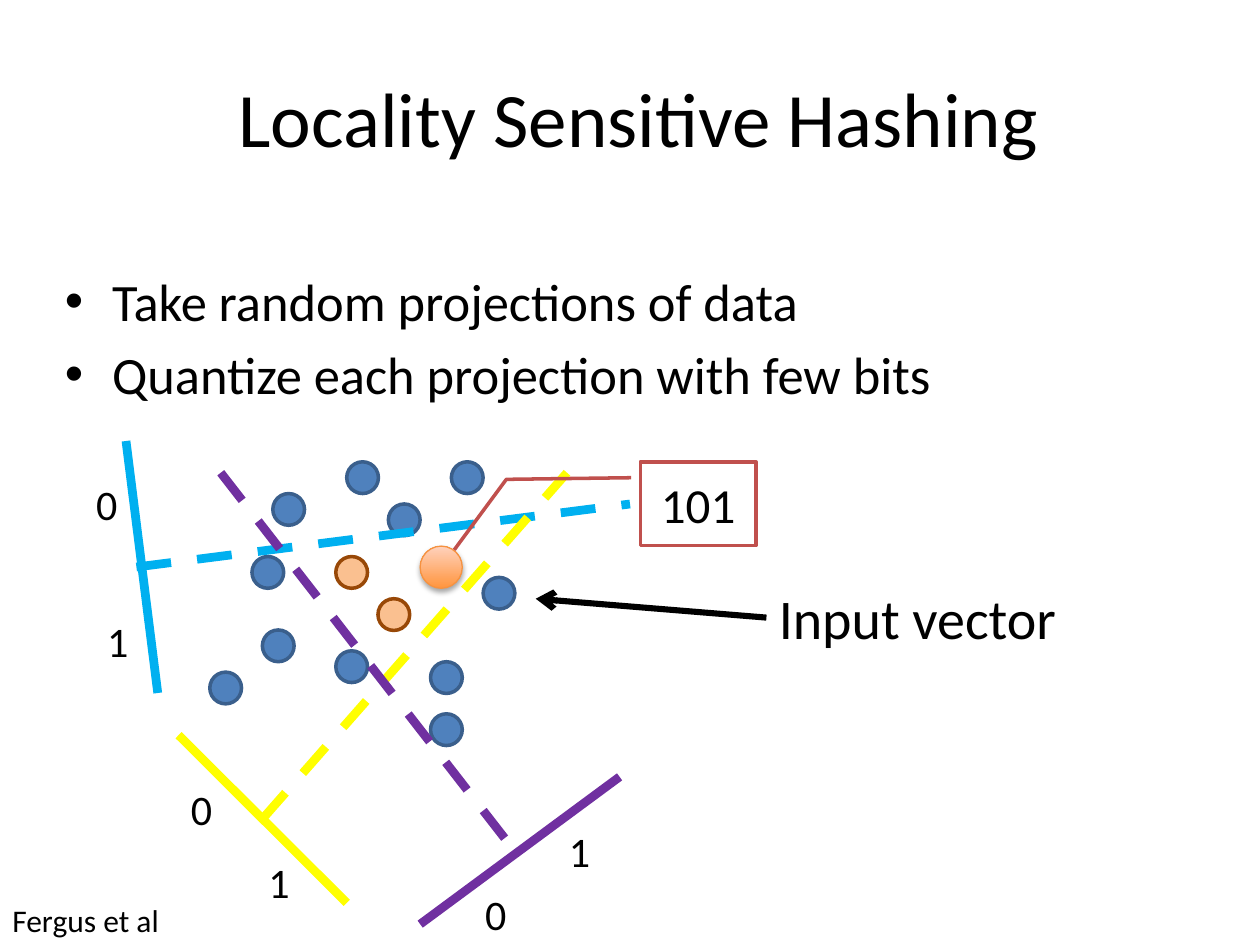
"""Builds a slide that explains locality sensitive hashing with three random projections."""
from dataclasses import dataclass

from lxml import etree
from pptx import Presentation
from pptx.dml.color import RGBColor
from pptx.enum import dml, shapes, text
from pptx.oxml import ns
from pptx.util import Cm, Pt

COLORS = {
    "black": "000000", "white": "FFFFFF",
    "blue": "4F81BD", "blue_edge": "3A5F8C",
    "peach": "FAC090", "brown": "984807",
    "query_low": "FF953E", "query_high": "FFD2BD", "query_edge": "F69240",
    "red": "C0504D", "cyan": "00B0F0", "yellow": "FFFF00", "purple": "7030A0",
}
FONT = "Calibri"
DOT = 0.64
BLUE_DOTS = [
    (5.29, 12.7), (5.5, 9.95), (6.99, 9.31), (5.08, 11.22), (6.77, 13.12), (7.83, 10.16),
    (4.23, 13.55), (9.74, 11.64), (8.68, 14.39), (8.68, 13.34), (9.1, 9.31),
]
NEIGHBOR_DOTS = [(6.77, 11.22), (7.62, 12.07)]


@dataclass
class Projection:
    """A projection axis, the dashed boundary across it and its two bit labels."""
    color: str
    boundary: tuple
    axis: tuple
    zero: tuple
    one: tuple


PROJECTIONS = [
    Projection("cyan", (2.75, 11.43, 12.7, 10.16), (3.18, 13.97, 2.54, 8.89),
               (1.69, 9.53), (1.91, 12.28)),
    Projection("yellow", (5.29, 16.51, 11.43, 9.53), (3.6, 14.82, 6.99, 18.2),
               (3.6, 15.66), (5.16, 17.15)),
    Projection("purple", (4.45, 9.53, 10.37, 17.15), (8.47, 18.63, 12.49, 15.66),
               (9.53, 17.78), (11.22, 16.51)),
]


def rgb(name: str) -> RGBColor:
    """Look up a named colour."""
    return RGBColor.from_string(COLORS[name])


def style(tf, size: float) -> None:
    """Format every run of a text frame."""
    for p in tf.paragraphs:
        for r in p.runs:
            r.font.name, r.font.size = FONT, Pt(size)
            r.font.color.rgb = rgb("black")


def add_text(parent, box: tuple, content: str, size: float, wrap: bool = False):
    """Add a text box at a (left, top, width, height) box."""
    sp = parent.add_textbox(*map(Cm, box))
    tf = sp.text_frame
    tf.text = content
    tf.word_wrap = wrap
    style(tf, size)
    return sp


def add_shape(parent, kind, box: tuple, fill: str, edge: str, width: float = 2):
    """Add a filled and outlined preset shape."""
    sp = parent.add_shape(kind, *map(Cm, box))
    sp.shadow.inherit = False
    sp.fill.solid()
    sp.fill.fore_color.rgb = rgb(fill)
    sp.line.color.rgb = rgb(edge)
    sp.line.width = Pt(width)
    return sp


def add_line(parent, ends: tuple, color: str, width: float = 5, dashed: bool = False):
    """Add a straight connector between (x1, y1, x2, y2) ends."""
    cx = parent.add_connector(shapes.MSO_CONNECTOR.STRAIGHT, *map(Cm, ends))
    cx.line.color.rgb = rgb(color)
    cx.line.width = Pt(width)
    if dashed:
        cx.line.dash_style = dml.MSO_LINE.DASH
    etree.SubElement(cx._element.spPr, ns.qn("a:effectLst"))
    return cx


def add_dots(parent, places: list, fill: str, edge: str) -> None:
    """Add one data point at each place."""
    for x, y in places:
        add_shape(parent, shapes.MSO_SHAPE.OVAL, (x, y, DOT, DOT), fill, edge)


def add_query(parent) -> None:
    """Add the shaded and shadowed query point."""
    sp = add_shape(parent, shapes.MSO_SHAPE.OVAL, (8.47, 11.01, 0.85, 0.85),
                   "query_low", "query_edge", 0.75)
    sp.fill.gradient()
    sp.fill.gradient_angle = 90
    for stop, name, place in zip(sp.fill.gradient_stops, ("query_low", "query_high"), (0, 1)):
        stop.color.rgb = rgb(name)
        stop.position = place
    effects = sp._element.spPr.find(ns.qn("a:effectLst"))
    shadow = etree.SubElement(effects, ns.qn("a:outerShdw"), blurRad=str(Pt(3.1)),
                              dist=str(Pt(1.8)), dir="5400000", rotWithShape="0")
    tint = etree.SubElement(shadow, ns.qn("a:srgbClr"), val=COLORS["black"])
    etree.SubElement(tint, ns.qn("a:alpha"), val="35000")


def add_bullets(parent, box: tuple, items: list, size: float) -> None:
    """Add a bulleted list."""
    tf = add_text(parent, box, "\n".join(items), size, wrap=True).text_frame
    for i, p in enumerate(tf.paragraphs):
        pPr = p._p.get_or_add_pPr()
        pPr.set("marL", str(Cm(0.95)))
        pPr.set("indent", str(Cm(-0.95)))
        etree.SubElement(pPr, ns.qn("a:buFont"), typeface="Arial")
        etree.SubElement(pPr, ns.qn("a:buChar"), char="•")
        if i:
            p.space_before = Pt(6)


def add_projection(parent, proj: Projection) -> None:
    """Add one projection as a group."""
    group = parent.add_group_shape().shapes
    add_line(group, proj.boundary, proj.color, dashed=True)
    add_line(group, proj.axis, proj.color)
    for bit, place in (("0", proj.zero), ("1", proj.one)):
        add_text(group, (*place, 0.99, 1.27), bit, 24)


def add_code(parent) -> None:
    """Add the callout that gives the hash code of the query point."""
    sp = add_shape(parent, shapes.MSO_SHAPE.LINE_CALLOUT_2, (12.91, 9.31, 2.33, 1.69),
                   "white", "red")
    for i, value in enumerate((0.19, -0.08, 0.21, -1.16, 1.05, -1.61)):
        sp.adjustments[i] = value
    tf = sp.text_frame
    tf.text = "101"
    tf.vertical_anchor = text.MSO_ANCHOR.MIDDLE
    tf.paragraphs[0].alignment = text.PP_ALIGN.CENTER
    style(tf, 28)


def main() -> None:
    """Build and save the slide."""
    prs = Presentation()
    prs.slide_width, prs.slide_height = Cm(25.4), Cm(19.05)
    s = prs.slides.add_slide(prs.slide_layouts[5])
    title = s.shapes.title
    title.left, title.top, title.width, title.height = map(Cm, (1.27, 0.76, 22.86, 3.18))
    title.text_frame.text = " Locality Sensitive Hashing"
    title.text_frame.vertical_anchor = text.MSO_ANCHOR.MIDDLE
    title.text_frame.paragraphs[0].alignment = text.PP_ALIGN.CENTER
    style(title.text_frame, 44)

    add_dots(s.shapes, BLUE_DOTS, "blue", "blue_edge")
    add_query(s.shapes)
    add_bullets(s.shapes, (1.06, 5.29, 23.92, 3.07),
                ["Take random projections of data", "Quantize each projection with few bits"], 30)
    for proj in PROJECTIONS:
        add_projection(s.shapes, proj)
    add_code(s.shapes)
    add_dots(s.shapes, NEIGHBOR_DOTS, "peach", "brown")

    label = add_text(s.shapes, (15.45, 11.64, 6.12, 1.62), "Input vector", 32)
    arrow = add_line(s.shapes, (15.45, 12.45, 10.8, 12.07), "black", 3.5)
    arrow.begin_connect(label, 1)
    etree.SubElement(arrow.line._get_or_add_ln(), ns.qn("a:tailEnd"), type="arrow")
    add_text(s.shapes, (0, 18.03, 3.51, 1.02), "Fergus et al", 18)
    prs.save("out.pptx")


if __name__ == "__main__":
    main()
